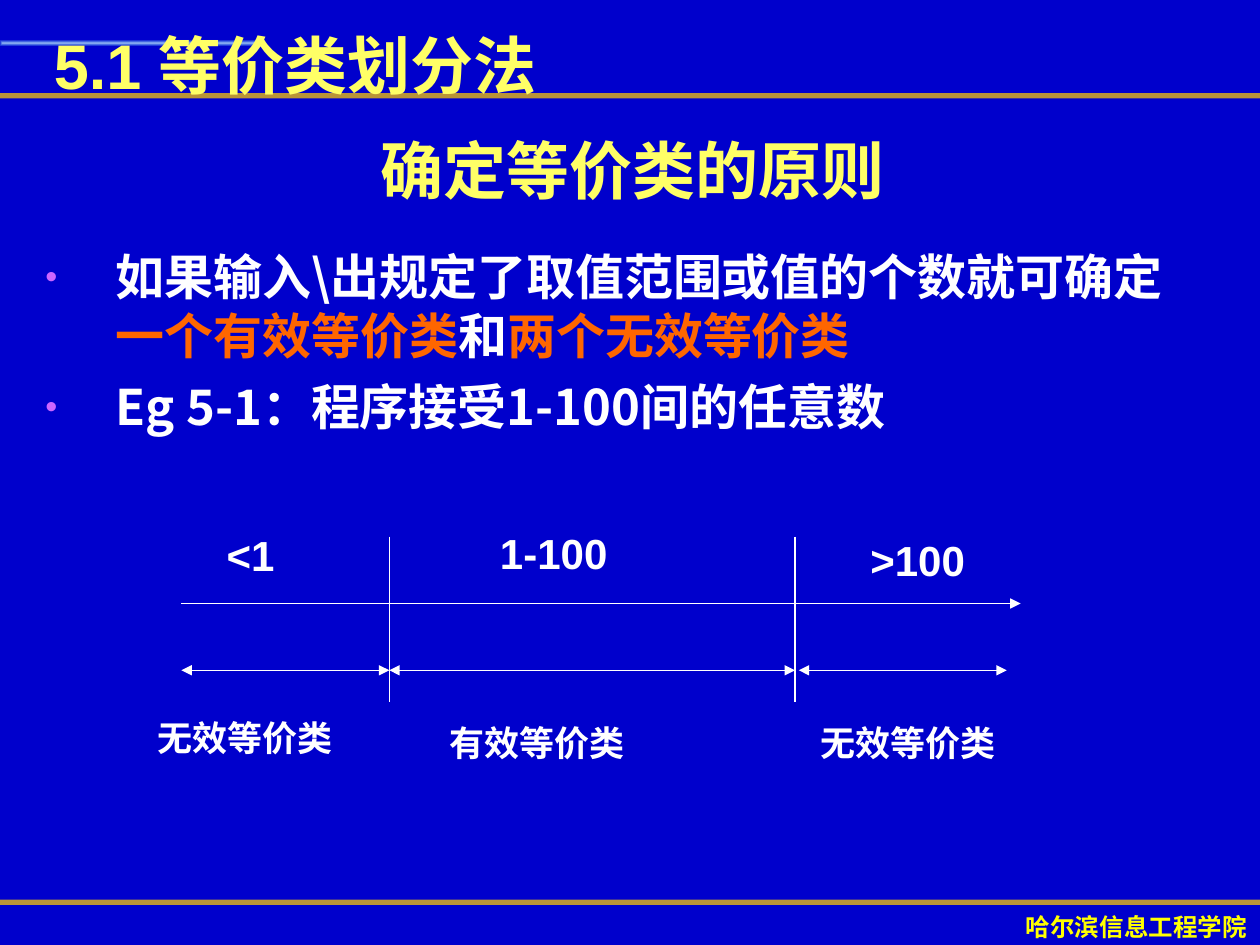
import pptx
import pptx.util
import pptx.dml.color
import pptx.enum.text
import pptx.enum.shapes
import pptx.oxml
import pptx.oxml.ns
from lxml import etree

Inches, Pt = pptx.util.Inches, pptx.util.Pt
RGB = pptx.dml.color.RGBColor
ALIGN, ANCHOR = pptx.enum.text.PP_ALIGN, pptx.enum.text.MSO_ANCHOR
qn = pptx.oxml.ns.qn

NAVY = RGB(0x00, 0x00, 0xCC)
GOLD = RGB(0xFF, 0xCC, 0x00)
LEMON = RGB(0xFF, 0xFF, 0x66)
YELLOW = RGB(0xFF, 0xFF, 0x00)
WHITE = RGB(0xFF, 0xFF, 0xFF)
ORANGE = RGB(0xFF, 0x66, 0x00)
PINK = RGB(0xCC, 0x66, 0xFF)
GLOW = [(0, RGB(0xC3, 0xEB, 0xFF), 82), (100, RGB(0x66, 0xCC, 0xFF), 18)]

WIDE, HIGH = 10, 7.5
TITLE = "5.1 等价类划分法"
HEADING = "确定等价类的原则"
SCHOOL = "哈尔滨信息工程学院"
POINTS = [
    [("如果输入\\出规定了取值范围或值的个数就可确定", WHITE),
     ("一个有效等价类", ORANGE), ("和", WHITE), ("两个无效等价类", ORANGE)],
    [("Eg 5-1：程序接受1-100间的任意数", WHITE)],
]
# Text, left, top, width, height, size
LABELS = [
    ("<1", 1.7, 4.15, 0.76, 0.5, 24),
    ("1-100", 3.87, 4.14, 1.1, 0.5, 24),
    (">100", 6.81, 4.19, 1.13, 0.5, 24),
    ("无效等价类", 1.15, 5.64, 1.91, 0.44, 20),
    ("有效等价类", 3.47, 5.68, 1.91, 0.44, 20),
    ("无效等价类", 6.41, 5.68, 1.91, 0.44, 20),
]
RULES = [0.76, 7.16]
START, LOW, UPPER, END = 1.44, 3.09, 6.31, 8.1
SPANS = [(START, LOW), (LOW, UPPER), (6.34, 7.99)]
AXIS_Y, SPAN_Y = 4.79, 5.32
BOUND_TOP, BOUND_END = 4.26, 5.57


def sub(parent, tag, **attrs):
    return etree.SubElement(parent, qn(tag), attrs)


def style(para, size, color, name="Arial"):
    font = para.font
    font.size, font.bold, font.name = Pt(size), True, name
    if color is not None:
        font.color.rgb = color


def place(shape, *box):
    shape.left, shape.top, shape.width, shape.height = map(Inches, box)


def write(shape, text, size, color, align=ALIGN.LEFT, anchor=ANCHOR.TOP):
    frame = shape.text_frame
    frame.word_wrap, frame.vertical_anchor = True, anchor
    para = frame.paragraphs[0]
    para.text, para.alignment = text, align
    style(para, size, color)


def add_text(slide, text, box, *look):
    write(slide.shapes.add_textbox(*map(Inches, box)), text, *look)


def add_line(slide, x1, y1, x2, y2, color=WHITE, width=0.75, ends=(), alpha=None):
    """Draw a line; ends lists the arrowed ends, headEnd and tailEnd."""
    kind = pptx.enum.shapes.MSO_CONNECTOR.STRAIGHT
    line = slide.shapes.add_connector(kind, *map(Inches, (x1, y1, x2, y2)))
    line.line.color.rgb, line.line.width = color, Pt(width)
    props = line._element.spPr
    stroke = props.find(qn("a:ln"))
    if alpha:
        sub(stroke.find(".//" + qn("a:srgbClr")), "a:alpha", val=str(alpha * 1000))
    for end in ends:
        sub(stroke, "a:" + end, type="triangle")
    sub(props, "a:effectLst")


def add_glow(slide):
    bar = slide.shapes.add_shape(
        pptx.enum.shapes.MSO_SHAPE.RECTANGLE, *map(Inches, (0, 0.32, 2.09, 0.04)))
    bar.shadow.inherit = False
    bar.line.fill.background()
    grad = etree.Element(qn("a:gradFill"))
    stops = sub(grad, "a:gsLst")
    for pos, color, alpha in GLOW:
        stop = sub(stops, "a:gs", pos=str(pos * 1000))
        sub(sub(stop, "a:srgbClr", val=str(color)), "a:alpha", val=str(alpha * 1000))
    shade = sub(grad, "a:path", path="rect")
    sub(shade, "a:fillToRect", **dict.fromkeys("ltrb", "50000"))
    bar._element.spPr.find(qn("a:prstGeom")).addnext(grad)


def fill_body(body):
    frame = body.text_frame
    frame.auto_size = pptx.enum.text.MSO_AUTO_SIZE.NONE
    for i, runs in enumerate(POINTS):
        para = frame.add_paragraph() if i else frame.paragraphs[0]
        props = para._p.get_or_add_pPr()
        props.set("marL", str(Inches(0.56)))
        props.set("indent", str(-Inches(0.56)))
        sub(sub(props, "a:buClr"), "a:srgbClr", val=str(PINK))
        sub(props, "a:buSzPct", val="70000")
        sub(props, "a:buChar", char="•")
        para.space_before = Pt(7 if i else 0)
        style(para, 28, None, "Noto Sans CJK SC")
        for text, color in runs:
            run = para.add_run()
            run.text, run.font.color.rgb = text, color


def main():
    deck = pptx.Presentation()
    deck.slide_width, deck.slide_height = Inches(WIDE), Inches(HIGH)
    slide = deck.slides.add_slide(deck.slide_layouts[1])
    slide.background.fill.solid()
    slide.background.fill.fore_color.rgb = NAVY
    title, body = slide.placeholders

    for y in RULES:
        add_line(slide, 0, y, WIDE, y, GOLD, 3, alpha=72)
    add_glow(slide)
    add_text(slide, SCHOOL, (7.84, 7.19, 2.36, 0.34), 14, YELLOW, ALIGN.CENTER)

    # Lift the placeholders above the rules
    for holder in (title, body):
        slide.shapes._spTree.append(holder._element)
    place(title, 0, 0, 4.69, 1.02)
    write(title, TITLE, 36, LEMON, ALIGN.CENTER, ANCHOR.MIDDLE)
    place(body, 0.26, 1.91, 9.37, 4.32)
    fill_body(body)
    add_text(slide, HEADING, (0.35, 0.72, 9.34, 1.25), 36, LEMON,
             ALIGN.CENTER, ANCHOR.MIDDLE)

    for x in (LOW, UPPER):
        add_line(slide, x, BOUND_TOP, x, BOUND_END)
    for left, right in SPANS:
        add_line(slide, left, SPAN_Y, right, SPAN_Y, ends=("headEnd", "tailEnd"))
    add_line(slide, START, AXIS_Y, END, AXIS_Y, ends=("tailEnd",))
    for text, *box, size in LABELS:
        add_text(slide, text, box, size, WHITE)
    deck.save("out.pptx")


if __name__ == "__main__":
    main()
